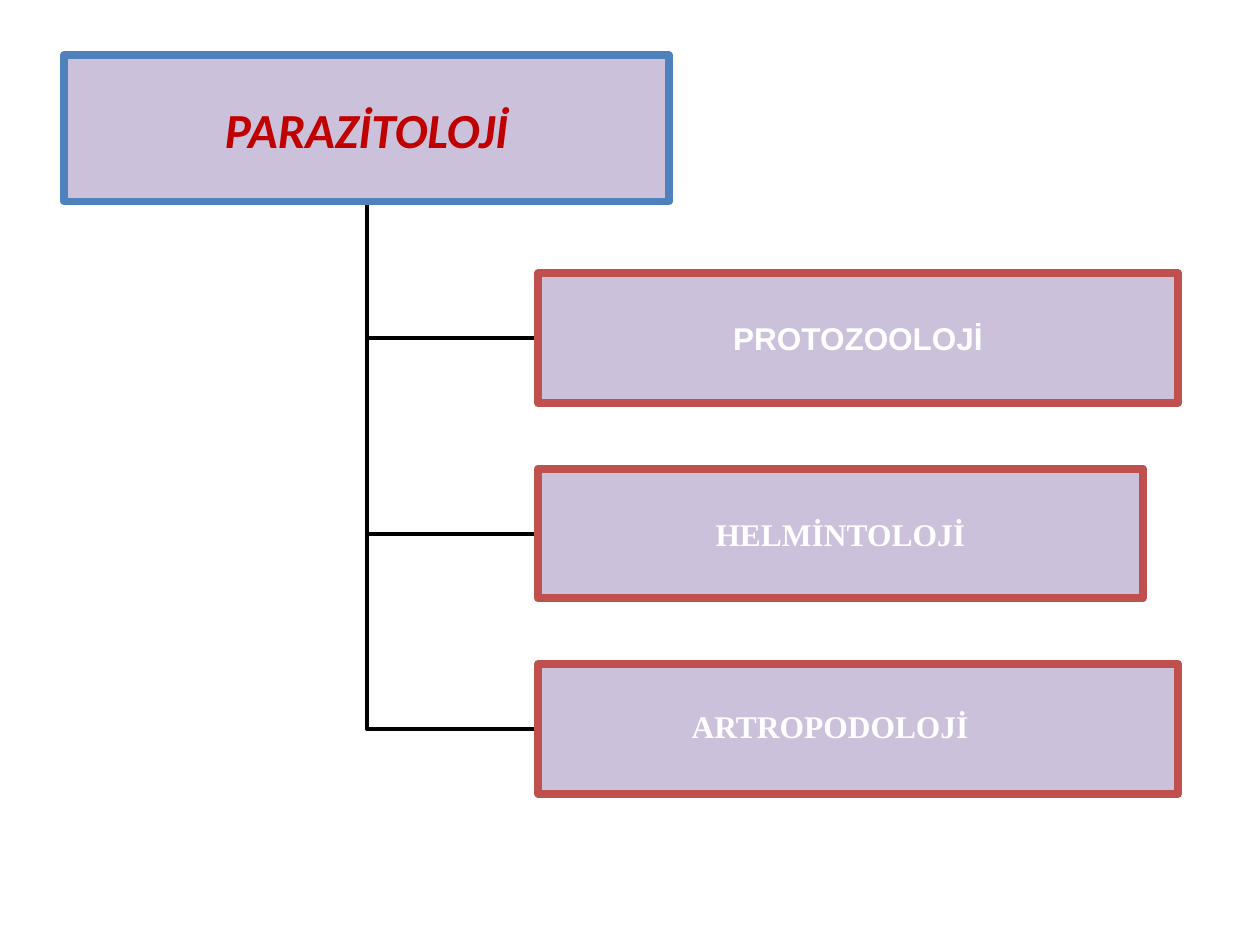
from pptx import Presentation
from pptx.dml.color import RGBColor
from pptx.enum.shapes import MSO_CONNECTOR, MSO_SHAPE
from pptx.enum.text import MSO_ANCHOR, MSO_AUTO_SIZE, PP_ALIGN
from pptx.oxml.ns import qn
from pptx.util import Inches, Pt
from lxml import etree

LEFT_SITE, BOTTOM_SITE = 1, 2


def rgb(value):
    """Turn a hex string into a colour."""
    return RGBColor.from_string(value)


def write(tf, text, font, size, color, italic=False):
    """Put one bold line of text into a text frame."""
    p = tf.paragraphs[0]
    p.text = text
    f = p.runs[0].font
    f.name, f.size, f.bold, f.italic = font, Pt(size), True, italic
    f.color.rgb = rgb(color)


def add_box(s, left, top, width, height, line):
    """Add a lilac box with a thick border."""
    sp = s.shapes.add_shape(MSO_SHAPE.RECTANGLE, Inches(left), Inches(top),
                            Inches(width), Inches(height))
    sp.shadow.inherit = False
    sp.fill.solid()
    sp.fill.fore_color.rgb = rgb("CCC1DA")
    sp.line.color.rgb = rgb(line)
    sp.line.width = Pt(4.5)
    tf = sp.text_frame
    tf.word_wrap = False
    tf.vertical_anchor = MSO_ANCHOR.MIDDLE
    tf.paragraphs[0].alignment = PP_ALIGN.CENTER
    return sp


def add_label(s, left, top, width, height, text, font):
    """Add a free-standing white label."""
    tf = s.shapes.add_textbox(Inches(left), Inches(top), Inches(width),
                              Inches(height)).text_frame
    tf.word_wrap = True
    tf.auto_size = MSO_AUTO_SIZE.SHAPE_TO_FIT_TEXT
    write(tf, text, font, 18, "FFFFFF")


def link(s, child, root):
    """Join a child's left side to the root's bottom, behind the boxes."""
    c = s.shapes.add_connector(MSO_CONNECTOR.ELBOW, 0, 0, 0, 0)
    c.begin_connect(child, LEFT_SITE)
    c.end_connect(root, BOTTOM_SITE)
    c.line.color.rgb = rgb("000000")
    c.line.width = Pt(2.25)
    spPr = c._element.spPr
    spPr.find(qn("a:prstGeom")).set("prst", "bentConnector2")
    etree.SubElement(spPr, qn("a:effectLst"))
    s.shapes._spTree.insert(2, c._element)


def main():
    """Build the parasitology tree slide."""
    prs = Presentation()
    prs.slide_width, prs.slide_height = Inches(10), Inches(7.5)
    s = prs.slides.add_slide(prs.slide_layouts[6])

    root = add_box(s, 0.51, 0.44, 4.8, 1.16, "4F81BD")
    write(root.text_frame, "PARAZİTOLOJİ", "Calibri", 28, "C00000", True)

    branches = [("PROTOZOOLOJİ", "Arial", 5.08),
                ("HELMİNTOLOJİ", "Times New Roman", 4.8),
                (None, None, 5.08)]
    for i, (text, font, width) in enumerate(branches):
        child = add_box(s, 4.27, 2.17 + 1.55 * i, width, 1.03, "C0504D")
        if text:
            write(child.text_frame, text, font, 18, "FFFFFF")
        link(s, child, root)
    add_label(s, 5.39, 5.56, 3.15, 0.5, "ARTROPODOLOJİ", "Times New Roman")

    prs.save("out.pptx")


if __name__ == "__main__":
    main()
